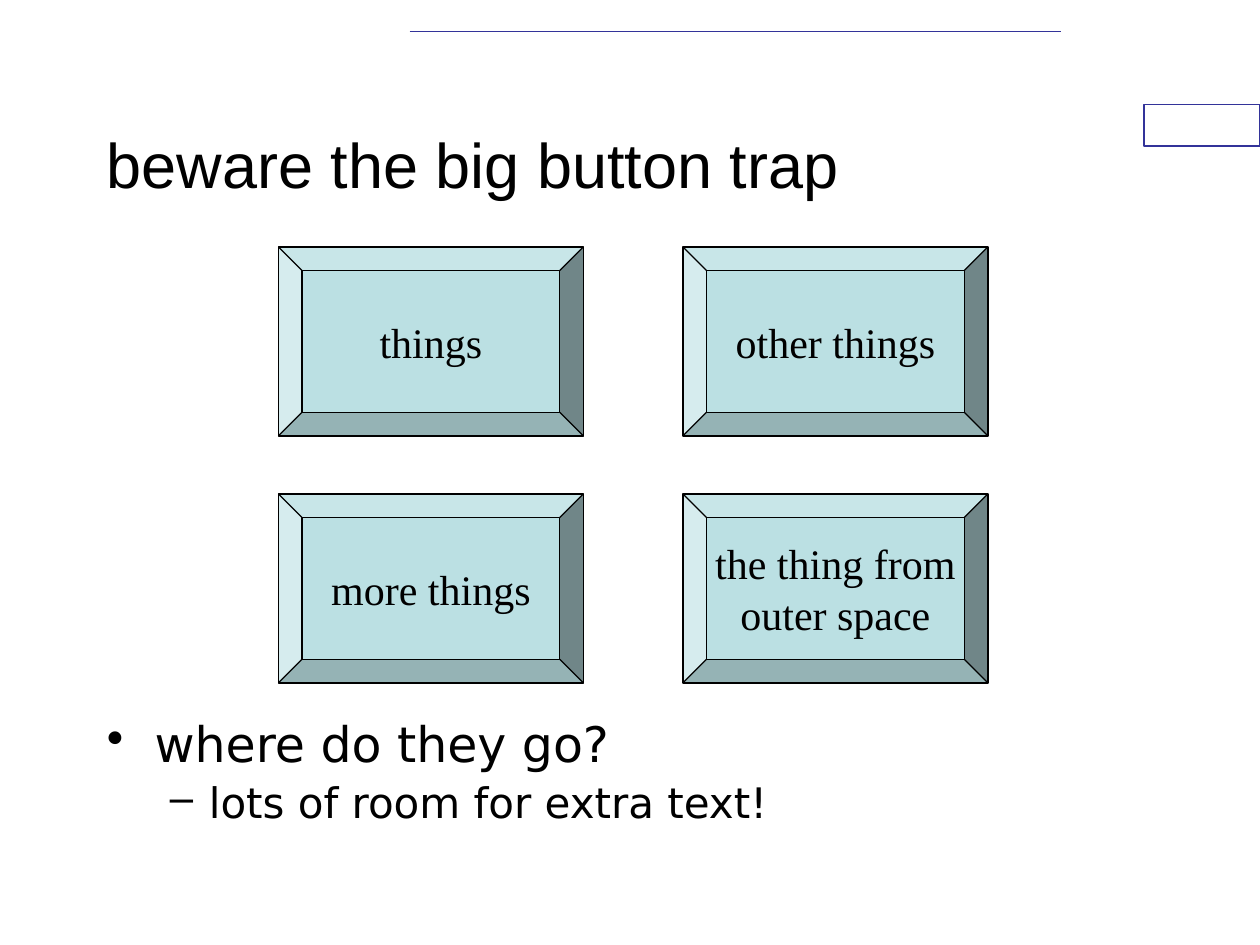
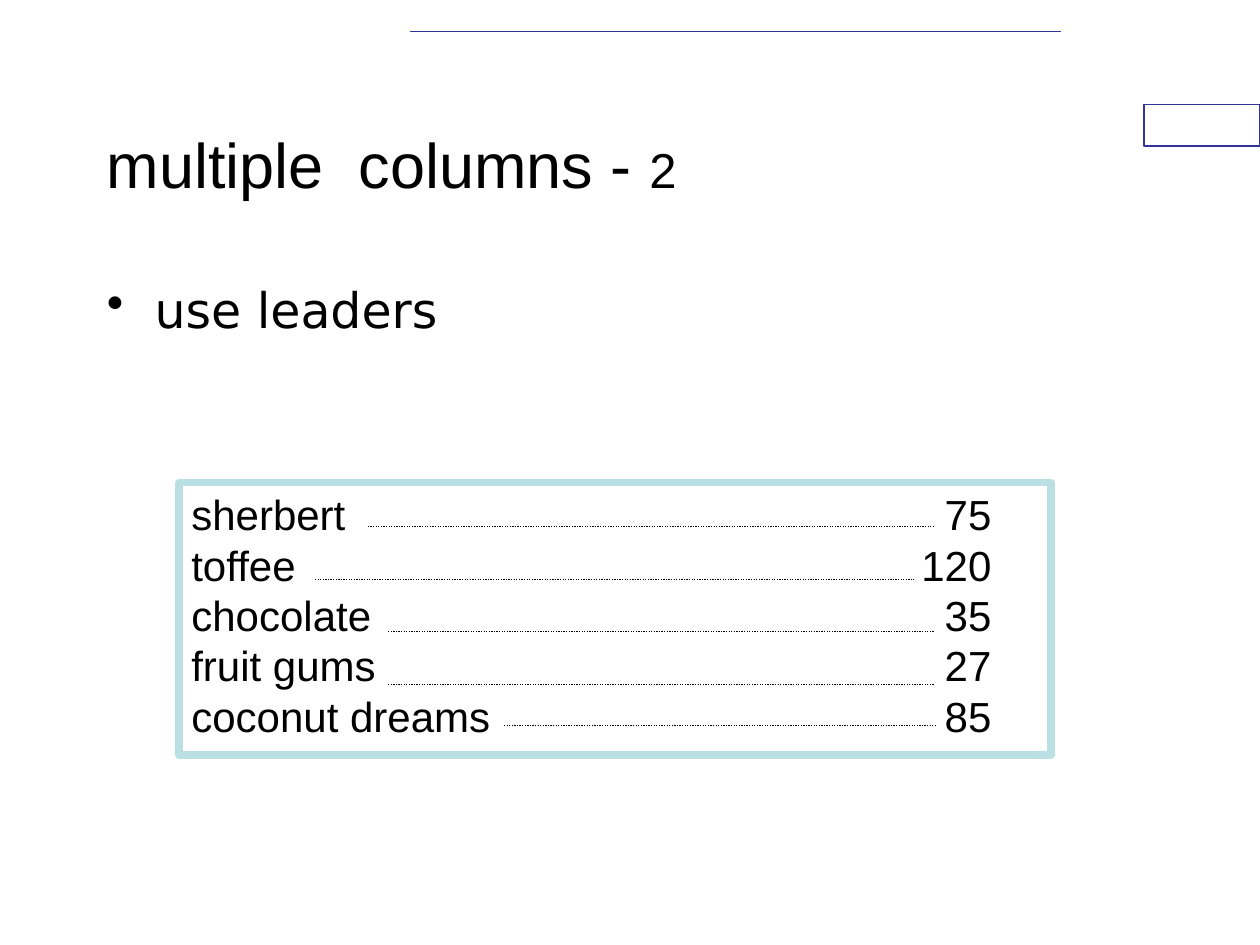
import pptx
import pptx.dml.color
import pptx.enum.dml
import pptx.enum.shapes
import pptx.enum.text
import pptx.oxml.ns
import pptx.util
from lxml import etree

Inches, Pt = pptx.util.Inches, pptx.util.Pt
RGB = pptx.dml.color.RGBColor
SHAPE = pptx.enum.shapes.MSO_SHAPE
ANCHOR = pptx.enum.text.MSO_ANCHOR
ALIGN = pptx.enum.text.PP_ALIGN
qn = pptx.oxml.ns.qn

BLACK = RGB(0x00, 0x00, 0x00)
WHITE = RGB(0xFF, 0xFF, 0xFF)
NAVY = RGB(0x33, 0x33, 0x99)
AQUA = RGB(0xBB, 0xE0, 0xE3)

TITLE = {"name": "Arial", "size": Pt(36)}
TITLE_SMALL = {"name": "Arial", "size": Pt(28)}
BUTTON = {"name": "Times New Roman", "size": Pt(24)}
PRICE = {"name": "Arial", "size": Pt(24)}
LEVELS = [
    {"char": "•", "margin": 0.38, "hang": 0.38, "before": 0, "size": 28},
    {"char": "–", "margin": 0.81, "hang": 0.31, "before": 5, "size": 24},
]

BUTTONS = [["things", "other things"],
           ["more things", "the thing from\nouter space"]]
PRICES = [
    ("sherbert", 75, 1.5, 6, 0.35),
    ("toffee", 120, 1.08, 5.83, 0.77),
    ("chocolate", 35, 1.66, 6, 1.18),
    ("fruit gums", 27, 1.66, 6, 1.6),
    ("coconut dreams", 85, 2.58, 6, 1.93),
]


def add_run(p, text, style):
    """Add a black run with the given font style."""
    r = p.add_run()
    r.text = text
    for key, value in style.items():
        setattr(r.font, key, value)
    r.font.color.rgb = BLACK


def paragraphs(tf, texts):
    """Yield one paragraph of the frame for each text."""
    for i, text in enumerate(texts):
        yield (tf.add_paragraph() if i else tf.paragraphs[0]), text


def add_box(s, kind, box, fill, line, width):
    """Add a preset shape with a plain fill and outline."""
    sp = s.shapes.add_shape(kind, *map(Inches, box))
    sp.shadow.inherit = False
    if fill is None:
        sp.fill.background()
    else:
        sp.fill.solid()
        sp.fill.fore_color.rgb = fill
    sp.line.color.rgb = line
    sp.line.width = Pt(width)
    return sp


def add_line(s, x1, x2, y, color, width, dash=None):
    """Add a horizontal line."""
    line = s.shapes.add_connector(
        pptx.enum.shapes.MSO_CONNECTOR.STRAIGHT,
        Inches(x1), Inches(y), Inches(x2), Inches(y))
    line.line.color.rgb = color
    line.line.width = Pt(width)
    if dash is not None:
        line.line.dash_style = dash
    etree.SubElement(line._element.spPr, qn("a:effectLst"))


def add_text(s, box, anchor):
    """Add a wrapping text box and return its frame."""
    tf = s.shapes.add_textbox(*map(Inches, box)).text_frame
    tf.word_wrap = True
    tf.vertical_anchor = anchor
    return tf


def new_slide(prs, title):
    """Add a slide with the shared decoration and its title runs."""
    s = prs.slides.add_slide(prs.slide_layouts[6])
    add_box(s, SHAPE.RECTANGLE, (9.08, 0.83, 0.92, 0.33), WHITE, NAVY, 0.75)
    add_line(s, 3.25, 8.42, 0.25, NAVY, 1)
    tf = add_text(s, (0.75, 0.67, 7.5, 1.25), ANCHOR.MIDDLE)
    for text, style in title:
        add_run(tf.paragraphs[0], text, style)
    return s


def add_bullets(s, box, items, spacing):
    """Add bulleted text, one level deeper for each item."""
    tf = add_text(s, box, ANCHOR.TOP)
    for (p, text), level in zip(paragraphs(tf, items), LEVELS):
        p.line_spacing = spacing
        p.space_before = Pt(level["before"])
        pPr = p._p.get_or_add_pPr()
        pPr.set("marL", str(Inches(level["margin"])))
        pPr.set("indent", str(-Inches(level["hang"])))
        etree.SubElement(pPr, qn("a:buChar"), char=level["char"])
        add_run(p, text, {"name": "DejaVu Sans", "size": Pt(level["size"])})


def add_buttons(s, box, grid):
    """Fill the box with an evenly spaced grid of bevelled buttons."""
    left, top, width, height = box
    w, h = 2.42, 1.5
    for row, labels in enumerate(grid):
        for col, label in enumerate(labels):
            x, y = left + col * (width - w), top + row * (height - h)
            sp = add_box(s, SHAPE.BEVEL, (x, y, w, h), AQUA, BLACK, 0.75)
            sp.adjustments[0] = 0.125
            tf = sp.text_frame
            tf.word_wrap = False
            tf.vertical_anchor = ANCHOR.MIDDLE
            for p, text in paragraphs(tf, label.split("\n")):
                p.alignment = ALIGN.CENTER
                add_run(p, text, BUTTON)


def add_price_list(s, box, prices):
    """Add a framed price list with dotted leaders."""
    left, top = box[:2]
    tf = add_box(s, SHAPE.RECTANGLE, box, None, AQUA, 4.5).text_frame
    tf.word_wrap = True
    tf.vertical_anchor = ANCHOR.TOP
    for p, (name, price, start, end, y) in paragraphs(tf, prices):
        p.alignment = ALIGN.LEFT
        tabs = etree.SubElement(p._p.get_or_add_pPr(), qn("a:tabLst"))
        etree.SubElement(tabs, qn("a:tab"), pos=str(Inches(6.35)), algn="r")
        add_run(p, f"{name}\t{price}", PRICE)
        add_line(s, left + start, left + end, top + y, BLACK, 0.75,
                 pptx.enum.dml.MSO_LINE.ROUND_DOT)


def button_slide(prs):
    """Build the slide about big buttons."""
    s = new_slide(prs, [("beware the big button trap", TITLE)])
    add_bullets(s, (0.75, 5.67, 8.5, 1),
                ["where do they go?", "lots of room for extra text!"], 0.9)
    add_buttons(s, (2.21, 1.96, 5.63, 3.46), BUTTONS)


def leader_slide(prs):
    """Build the slide about leaders between columns."""
    s = new_slide(prs, [("multiple  columns - ", TITLE), ("2", TITLE_SMALL)])
    add_bullets(s, (0.75, 2.17, 8.5, 4.5), ["use leaders"], 1.0)
    add_price_list(s, (1.42, 3.83, 6.92, 2.16), PRICES)


def main():
    """Build and save the presentation."""
    prs = pptx.Presentation()
    prs.slide_width, prs.slide_height = Inches(10), Inches(7.5)
    button_slide(prs)
    leader_slide(prs)
    prs.save("out.pptx")


if __name__ == "__main__":
    main()
